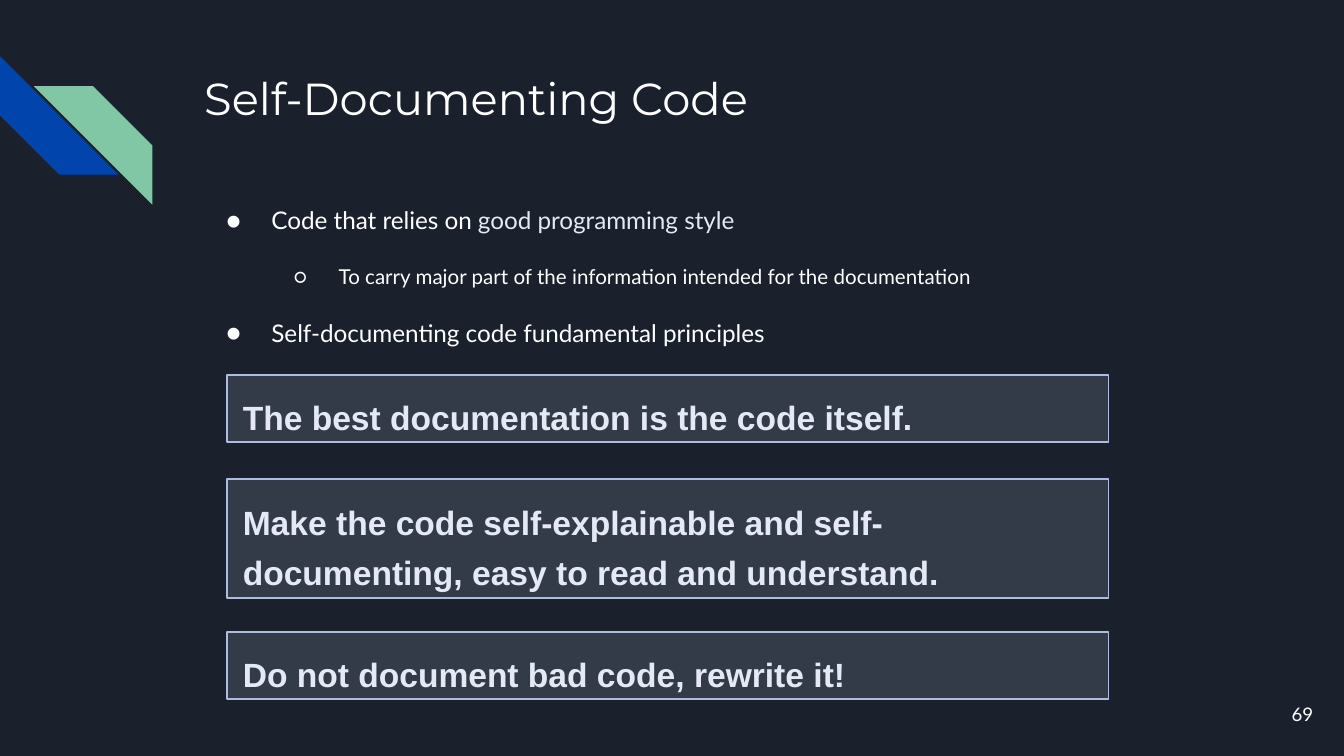
from dataclasses import dataclass

from lxml import etree
from pptx import Presentation
from pptx.dml.color import RGBColor
from pptx.enum.shapes import MSO_SHAPE
from pptx.enum.text import MSO_ANCHOR, MSO_AUTO_SIZE, PP_ALIGN
from pptx.oxml.ns import qn
from pptx.util import Cm, Pt

RECT, STRIPE = MSO_SHAPE.RECTANGLE, MSO_SHAPE.DIAGONAL_STRIPE
TOP, MIDDLE = MSO_ANCHOR.TOP, MSO_ANCHOR.MIDDLE
LEFT, RIGHT = PP_ALIGN.LEFT, PP_ALIGN.RIGHT
FIXED, GROW = MSO_AUTO_SIZE.NONE, MSO_AUTO_SIZE.SHAPE_TO_FIT_TEXT

NAVY = RGBColor(0x1B, 0x21, 0x2C)
BLUE = RGBColor(0x01, 0x45, 0xAC)
GREEN = RGBColor(0x82, 0xC7, 0xA5)
WHITE = RGBColor(0xFF, 0xFF, 0xFF)
PALE = RGBColor(0xE4, 0xE9, 0xF5)
PANEL = RGBColor(0xC9, 0xD3, 0xEB)
EDGE = RGBColor(0xAE, 0xBC, 0xE1)


@dataclass
class Stripe:
    left: float
    top: float
    turn: int
    color: RGBColor


@dataclass
class Item:
    runs: list
    level: int = 0
    size: float = 13
    before: float = 0


@dataclass
class Quote:
    text: str
    top: float
    height: float


STRIPES = [Stripe(0, 1.06, 270, BLUE), Stripe(0.64, 1.63, 90, GREEN)]
ITEMS = [
    Item([("Code that relies on ", WHITE), ("good programming style", PALE)]),
    Item([("To carry major part of the information intended for the "
           "documentation", WHITE)], level=1, size=11, before=16),
    Item([("Self-documenting code fundamental principles", WHITE)],
         before=15.6),
]
QUOTES = [
    Quote("The best documentation is the code itself.", 7.09, 1.27),
    Quote("Make the code self-explainable and self-documenting, "
          "easy to read and understand.", 9.06, 2.24),
    Quote("Do not document bad code, rewrite it!", 11.94, 1.27),
]


def place(shape, left: float, top: float, width: float, height: float) -> None:
    shape.left, shape.top = Cm(left), Cm(top)
    shape.width, shape.height = Cm(width), Cm(height)


def set_frame(frame, anchor=TOP, fit=FIXED, pads=(0.25,) * 4) -> None:
    frame.word_wrap = True
    frame.auto_size = fit
    frame.vertical_anchor = anchor
    (frame.margin_left, frame.margin_top,
     frame.margin_right, frame.margin_bottom) = map(Cm, pads)


def write(para, text: str, *, size: float, font="Lato", color=WHITE,
          bold=False, align=LEFT, before=0.0, line=1.0) -> None:
    para.alignment = align
    para.space_before = Pt(before)
    para.line_spacing = line
    run = para.add_run()
    run.text = text
    run.font.name, run.font.size = font, Pt(size)
    run.font.bold = bold
    run.font.color.rgb = color


def set_bullet(para, level: int) -> None:
    para.level = level
    props = para._p.get_or_add_pPr()
    props.set("marL", str(Cm(1.27 * (level + 1))))
    props.set("indent", str(Cm(-0.85)))
    tint = etree.SubElement(props, qn("a:buClr"))
    etree.SubElement(tint, qn("a:srgbClr"), val=str(WHITE))
    etree.SubElement(props, qn("a:buFont"), typeface="Lato")
    etree.SubElement(props, qn("a:buChar"), char="●○"[level])


def draw_stripe(slide, stripe: Stripe) -> None:
    shape = slide.shapes.add_shape(STRIPE, 0, 0, 0, 0)
    place(shape, stripe.left, stripe.top, 2.24, 2.24)
    shape.rotation = stripe.turn
    shape.shadow.inherit = False
    shape.fill.solid()
    shape.fill.fore_color.rgb = stripe.color
    shape.line.fill.background()


def draw_quote(slide, quote: Quote) -> None:
    shape = slide.shapes.add_shape(RECT, 0, 0, 0, 0)
    place(shape, 4.29, quote.top, 16.66, quote.height)
    shape.shadow.inherit = False
    shape.fill.solid()
    shape.fill.fore_color.rgb = PANEL
    tint = shape._element.spPr.find(qn("a:solidFill"))[0]
    etree.SubElement(tint, qn("a:alpha"), val="15000")
    shape.line.color.rgb = EDGE
    shape.line.width = Pt(1)
    set_frame(shape.text_frame, fit=GROW, pads=(0.3, 0.23, 0.3, 0.15))
    write(shape.text_frame.paragraphs[0], quote.text, size=18, font="Arial",
          color=PALE, bold=True, line=Pt(27))


def main() -> None:
    deck = Presentation()
    deck.slide_width, deck.slide_height = Cm(25.4), Cm(14.29)
    slide = deck.slides.add_slide(deck.slide_layouts[1])
    slide.background.fill.solid()
    slide.background.fill.fore_color.rgb = NAVY

    # Corner ornament
    for stripe in STRIPES:
        draw_stripe(slide, stripe)

    # Title
    title = slide.shapes.title
    place(title, 3.61, 1.09, 19.56, 2.54)
    set_frame(title.text_frame)
    write(title.text_frame.paragraphs[0], "Self-Documenting Code",
          size=24, font="Montserrat")

    # Bulleted list
    body = slide.placeholders[1]
    place(body, 3.61, 3.63, 19.56, 8.81)
    frame = body.text_frame
    set_frame(frame)
    for i, item in enumerate(ITEMS):
        para = frame.add_paragraph() if i else frame.paragraphs[0]
        for text, color in item.runs:
            write(para, text, size=item.size, color=color, before=item.before)
        set_bullet(para, item.level)

    # Slide number
    number = slide.shapes.add_textbox(0, 0, 0, 0)
    place(number, 23.55, 12.95, 1.52, 1.09)
    set_frame(number.text_frame, anchor=MIDDLE)
    write(number.text_frame.paragraphs[0], "69", size=10, align=RIGHT)

    # Framed quotes
    for quote in QUOTES:
        draw_quote(slide, quote)

    deck.save("out.pptx")


if __name__ == "__main__":
    main()
